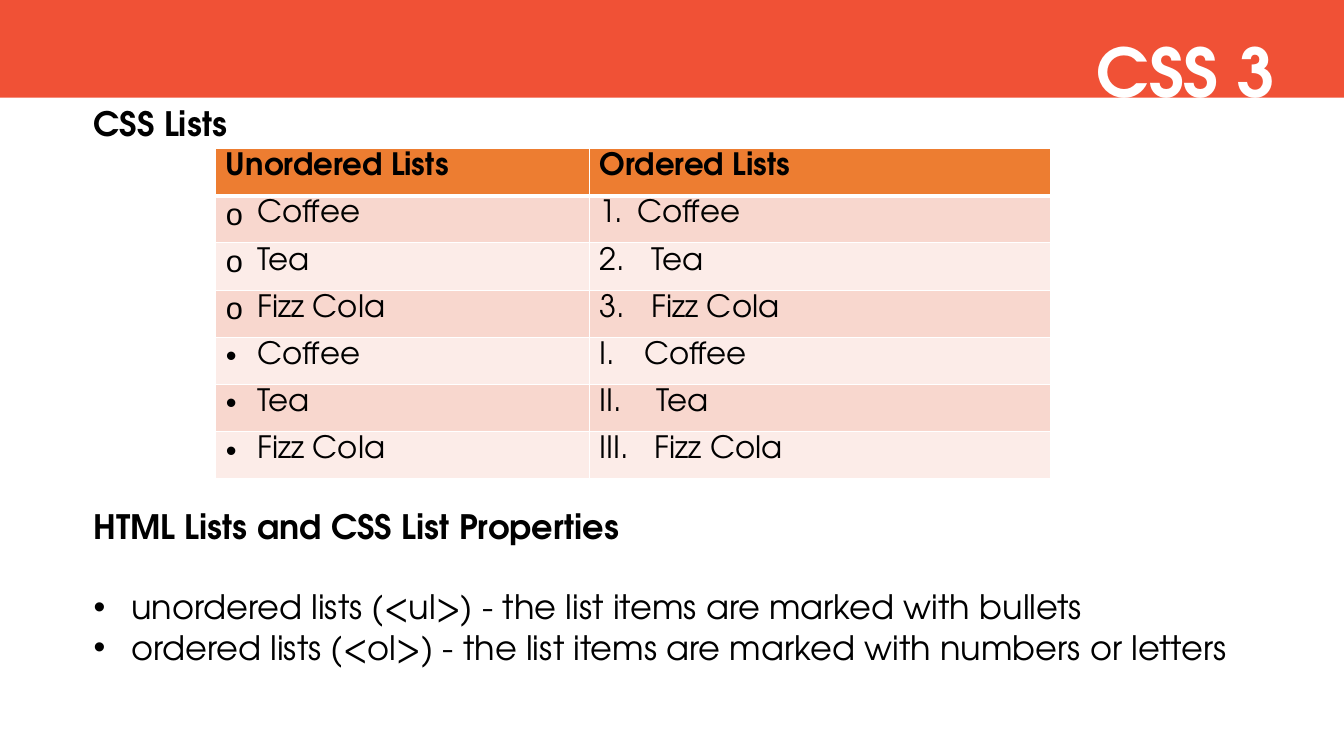
from lxml import etree
from pptx import Presentation
from pptx.dml.color import RGBColor
from pptx.enum import shapes, text
from pptx.oxml import ns
from pptx.util import Cm, Pt

FACE = "TeX Gyre Adventor"


def style(para, words, size, color="000000", bold=False):
    para.text = words
    font = para.font
    font.name, font.size, font.bold = FACE, Pt(size), bold
    font.color.rgb = RGBColor.from_string(color)


def mark(para, indent, tag, **attrs):
    props = para._p.get_or_add_pPr()
    props.set("marL", str(Cm(indent)))
    props.set("indent", str(-Cm(indent)))
    face = etree.Element(ns.qn("a:buFont"), typeface=FACE if tag == "buAutoNum" else "Arial")
    sign = etree.Element(ns.qn("a:" + tag), **attrs)
    at = len(props.findall(ns.qn("a:lnSpc")) + props.findall(ns.qn("a:spcBef")))
    props.insert(at, face)
    props.insert(at + 1, sign)


prs = Presentation()
prs.slide_width, prs.slide_height = Cm(33.87), Cm(19.05)
slide = prs.slides.add_slide(prs.slide_layouts[6])

body = slide.shapes.add_textbox(Cm(2.11), Cm(2.46), Cm(30.3), Cm(15.13)).text_frame
body.word_wrap = True
body.auto_size = text.MSO_AUTO_SIZE.SHAPE_TO_FIT_TEXT
lines = [
    ("CSS Lists", 0, True),
    ("HTML Lists and CSS List Properties", 259, True),
    ("unordered lists (<ul>) - the list items are marked with bullets", 29, False),
    ("ordered lists (<ol>) - the list items are marked with numbers or letters", 0, False),
]
for i, (words, gap, bold) in enumerate(lines):
    para = body.add_paragraph() if i else body.paragraphs[0]
    style(para, words, 24, bold=bold)
    para.space_before = Pt(gap)
    if not bold:
        mark(para, 0.95, "buChar", char="•")

band = slide.shapes.add_shape(shapes.MSO_SHAPE.RECTANGLE, 0, 0, prs.slide_width, Cm(2.46))
band.shadow.inherit = False
band.fill.solid()
band.fill.fore_color.rgb = RGBColor.from_string("F05136")
band.line.fill.background()

title = slide.shapes.add_textbox(Cm(10.8), Cm(0.64), Cm(21.59), Cm(2.31)).text_frame
title.word_wrap = True
title.auto_size = text.MSO_AUTO_SIZE.SHAPE_TO_FIT_TEXT
style(title.paragraphs[0], "CSS 3", 48, "FFFFFF", True)
title.paragraphs[0].alignment = text.PP_ALIGN.RIGHT

drinks = ["Coffee", "Tea", "Fizz Cola"] * 2
indents = [0.95, 1.3, 1.3, 1.12, 1.42, 1.38]
rows = [("Unordered Lists", "Ordered Lists")] + [(d, d) for d in drinks]
table = slide.shapes.add_table(7, 2, Cm(5.44), Cm(3.74), Cm(21.03), Cm(8.33)).table
table.columns[0].width, table.columns[1].width = Cm(9.42), Cm(11.61)
for r, row in enumerate(rows):
    table.rows[r].height = Cm(1.19)
    for c, words in enumerate(row):
        cell = table.cell(r, c)
        cell.fill.solid()
        fill = "ED7D31" if r == 0 else ("FCECE8", "F8D7CE")[r % 2]
        cell.fill.fore_color.rgb = RGBColor.from_string(fill)
        para = cell.text_frame.paragraphs[0]
        style(para, words, 22, bold=r == 0)
        para.line_spacing = Pt(20)
        if r and c:
            kind = "arabicPeriod" if r < 4 else "romanUcPeriod"
            mark(para, indents[r - 1], "buAutoNum", type=kind, startAt=str((r - 1) % 3 + 1))
        elif r:
            mark(para, 0.79, "buChar", char="o" if r < 4 else "•")
        for i, side in enumerate(("lnL", "lnR", "lnT", "lnB")):
            thick = (r, side) in ((0, "lnB"), (1, "lnT"))
            edge = etree.Element(ns.qn("a:" + side), w=str(Pt(3 if thick else 1)))
            paint = etree.SubElement(edge, ns.qn("a:solidFill"))
            etree.SubElement(paint, ns.qn("a:srgbClr"), val="FFFFFF")
            cell._tc.get_or_add_tcPr().insert(i, edge)

prs.save("out.pptx")
